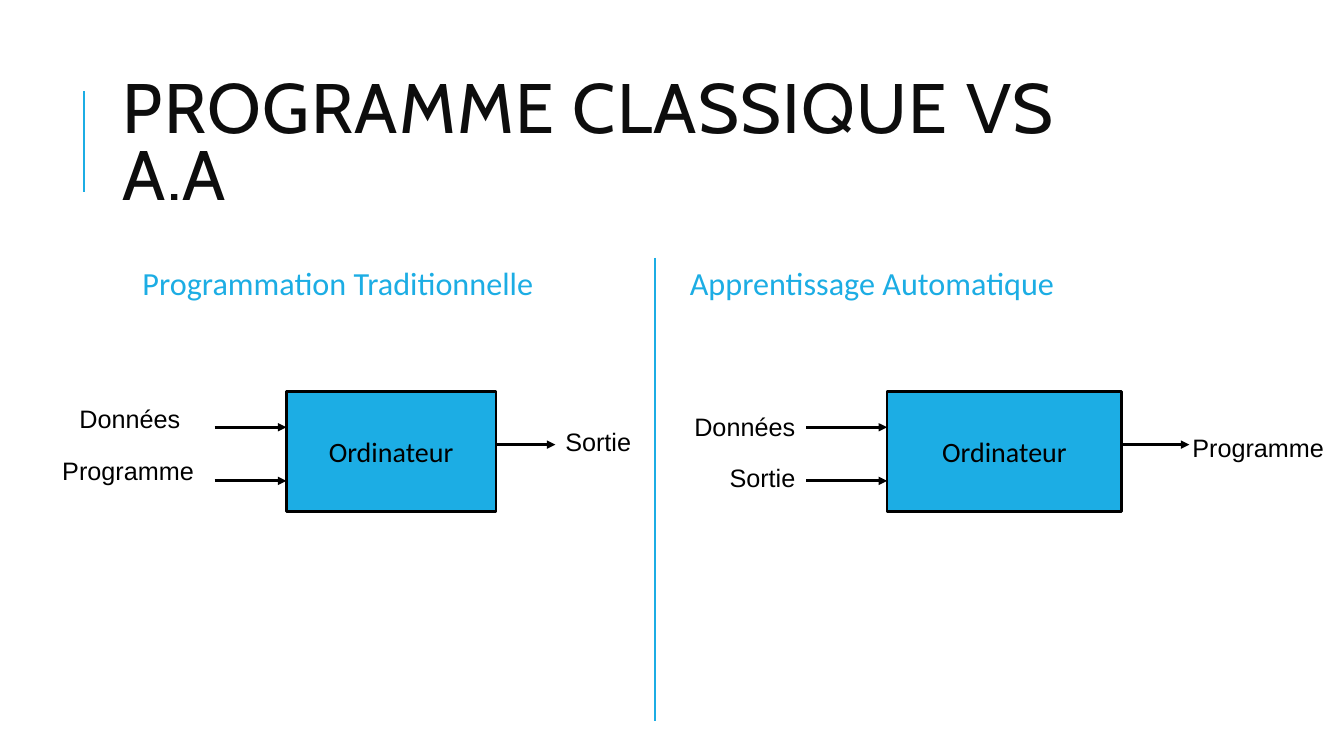
from lxml import etree
from pptx import Presentation
from pptx.dml.color import RGBColor
from pptx.enum.shapes import MSO_CONNECTOR, MSO_SHAPE
from pptx.enum.text import MSO_ANCHOR, MSO_AUTO_SIZE, PP_ALIGN
from pptx.oxml.ns import qn
from pptx.util import Pt

STRAIGHT = MSO_CONNECTOR.STRAIGHT
RECTANGLE = MSO_SHAPE.RECTANGLE
MIDDLE = MSO_ANCHOR.MIDDLE
NO_FIT = MSO_AUTO_SIZE.NONE
LEFT, CENTER = PP_ALIGN.LEFT, PP_ALIGN.CENTER

BLUE, BLACK, INK = "1CADE4", "000000", "0D0D0D"
BOX_TOP, BOX_HEIGHT = 279.4, 85.7
INPUT_LEVELS = (305.2, 343.5)
OUTPUT_LEVEL = 317.6


def color(value):
    return RGBColor.from_string(value)


def style(para, size, font, hue, align=LEFT):
    para.alignment = align
    para.font.size = Pt(size)
    para.font.name = font
    para.font.color.rgb = color(hue)


def add_line(shapes, start, end, hue, width, arrow=False):
    line = shapes.add_connector(STRAIGHT, *(Pt(value) for value in (*start, *end)))
    line.line.color.rgb = color(hue)
    line.line.width = Pt(width)
    if arrow:
        tail = etree.SubElement(line.line._get_or_add_ln(), qn("a:tailEnd"))
        tail.set("type", "triangle")
    etree.SubElement(line._element.spPr, qn("a:effectLst"))


def add_label(shapes, text, left, top, width):
    label = shapes.add_textbox(Pt(left), Pt(top), Pt(width), Pt(29))
    label.text_frame.word_wrap = True
    para = label.text_frame.paragraphs[0]
    para.text = text
    style(para, 18, "Arial", BLACK)


def add_heading(page, text, left):
    heading = page.shapes.add_textbox(Pt(left), Pt(171.4), Pt(374.4), Pt(64.8))
    frame = heading.text_frame
    frame.word_wrap = True
    frame.vertical_anchor = MIDDLE
    frame.margin_left = Pt(21.2)
    para = frame.paragraphs[0]
    para.text = text
    para.line_spacing = 0.9
    style(para, 23, "Calibri", BLUE)


def add_computer(shapes, left, width):
    box = shapes.add_shape(RECTANGLE, Pt(left), Pt(BOX_TOP), Pt(width), Pt(BOX_HEIGHT))
    box.shadow.inherit = False
    box.fill.solid()
    box.fill.fore_color.rgb = color(BLUE)
    box.line.color.rgb = color(BLACK)
    box.line.width = Pt(2)
    box.text_frame.vertical_anchor = MIDDLE
    box.text_frame.word_wrap = False
    para = box.text_frame.paragraphs[0]
    para.text = "Ordinateur"
    style(para, 20, "Calibri", BLACK, CENTER)


def add_diagram(page, arrow_start, box_left, box_width, arrow_end, labels):
    shapes = page.shapes.add_group_shape().shapes
    box_right = box_left + box_width
    add_computer(shapes, box_left, box_width)
    for level in INPUT_LEVELS:
        add_line(shapes, (arrow_start, level), (box_left, level), BLACK, 2, True)
    add_line(shapes, (box_right, OUTPUT_LEVEL), (arrow_end, OUTPUT_LEVEL), BLACK, 2, True)
    for label in labels:
        add_label(shapes, *label)


def set_title(page, text):
    title = page.shapes.title
    title.left, title.top, title.width, title.height = Pt(80.6), Pt(46), Pt(760), Pt(118)
    frame = title.text_frame
    frame.word_wrap = True
    frame.auto_size = NO_FIT
    frame.vertical_anchor = MIDDLE
    para = frame.paragraphs[0]
    para.line_spacing = 0.8
    style(para, 50, "Cabin", INK)
    span = para.add_run()
    span.text = text
    span._r.get_or_add_rPr().set("spc", "100")


def main():
    deck = Presentation()
    deck.slide_width, deck.slide_height = Pt(960), Pt(540)
    page = deck.slides.add_slide(deck.slide_layouts[5])

    add_line(page.shapes, (60, 136.8), (60, 64.8), BLUE, 1.5)
    set_title(page, "PROGRAMME CLASSIQUE VS A.A")
    add_heading(page, "Programmation Traditionnelle", 80.6)
    add_heading(page, "Apprentissage Automatique", 471.6)
    add_diagram(page, 153.4, 204.5, 149.8, 396.7, [
        ("Données", 49.7, 284.4, 91.4),
        ("Programme", 37.4, 322, 116),
        ("Sortie", 396.7, 301, 64),
    ])
    add_diagram(page, 576, 633.6, 167.8, 849.6, [
        ("Données", 488.9, 290.2, 102),
        ("Programme", 844.6, 305.3, 115),
        ("Sortie", 514, 327, 70.6),
    ])
    add_line(page.shapes, (468, 184.3), (468, 514.8), BLUE, 1.25)
    deck.save("out.pptx")


if __name__ == "__main__":
    main()
